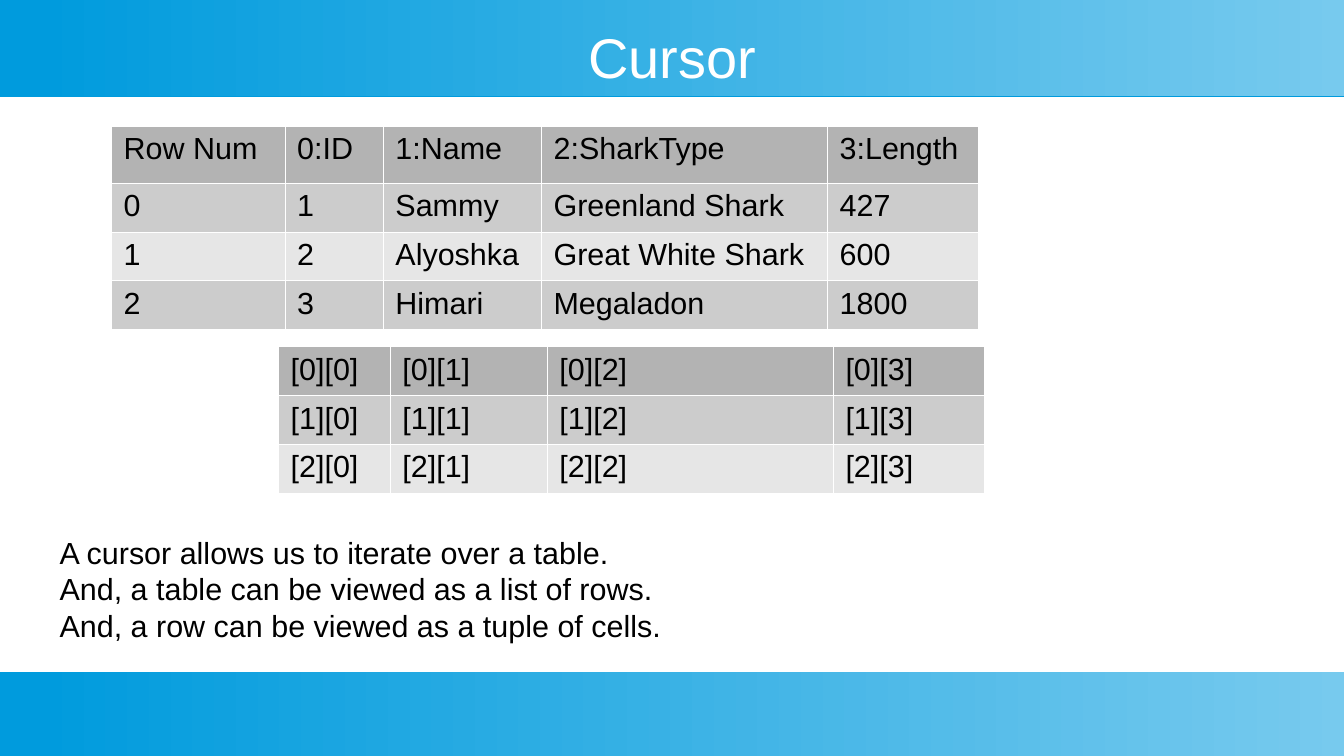
from lxml.etree import SubElement
from pptx import Presentation
from pptx.dml.color import RGBColor
from pptx.enum.shapes import MSO_SHAPE
from pptx.enum.text import MSO_ANCHOR, PP_ALIGN
from pptx.oxml.ns import qn
from pptx.util import Pt

COLORS = {
    "deep": "009BDD",
    "pale": "77CAEE",
    "white": "FFFFFF",
    "black": "000000",
    "header": "B3B3B3",
    "odd": "CCCCCC",
    "even": "E6E6E6",
}
FONT = "Arial"
WIDTH, HEIGHT = 793.44, 446.4
ROW_HEIGHT = 28.75

SHARKS = [
    ["Row Num", "0:ID", "1:Name", "2:SharkType", "3:Length"],
    ["0", "1", "Sammy", "Greenland Shark", "427"],
    ["1", "2", "Alyoshka", "Great White Shark", "600"],
    ["2", "3", "Himari", "Megaladon", "1800"],
]
INDEXES = [[f"[{row}][{column}]" for column in range(4)] for row in range(3)]
EXPLANATION = [
    "A cursor allows us to iterate over a table.",
    "And, a table can be viewed as a list of rows.",
    "And, a row can be viewed as a tuple of cells.",
]


def rgb(name):
    """Return the named colour."""
    return RGBColor.from_string(COLORS[name])


def style_text(frame, size, color):
    """Give every run of a text frame its font, size and colour."""
    for paragraph in frame.paragraphs:
        for run in paragraph.runs:
            run.font.name = FONT
            run.font.size = Pt(size)
            run.font.color.rgb = rgb(color)


def add_band(slide, left, top, width, height):
    """Draw a gradient band with a thin hard shadow below it."""
    band = slide.shapes.add_shape(
        MSO_SHAPE.RECTANGLE, Pt(left), Pt(top), Pt(width), Pt(height))
    band.line.fill.background()
    band.fill.gradient()
    band.fill.gradient_angle = 0
    for stop, color, position in zip(
            band.fill.gradient_stops, ("deep", "pale"), (0.03, 1)):
        stop.color.rgb = rgb(color)
        stop.position = position
    band.shadow.inherit = False
    effects = band._element.spPr.find(qn("a:effectLst"))
    shadow = SubElement(effects, qn("a:outerShdw"), blurRad="0",
                        dist=str(Pt(0.9)), dir="5400000", rotWithShape="0")
    SubElement(shadow, qn("a:srgbClr"), val=COLORS["deep"])


def add_title(slide, left, top, width, height, title):
    """Write the centred slide title."""
    heading = slide.shapes.add_textbox(
        Pt(left), Pt(top), Pt(width), Pt(height)).text_frame
    heading.word_wrap = True
    heading.vertical_anchor = MSO_ANCHOR.MIDDLE
    heading.margin_left = heading.margin_right = 0
    heading.margin_top = heading.margin_bottom = 0
    heading.text = title
    heading.paragraphs[0].alignment = PP_ALIGN.CENTER
    style_text(heading, 33, "white")


def add_borders(cell):
    """Put hairline white borders on all sides of a cell."""
    properties = cell._tc.get_or_add_tcPr()
    for side in ("a:lnL", "a:lnR", "a:lnT", "a:lnB"):
        border = SubElement(properties, qn(side), w=str(Pt(0.06)))
        fill = SubElement(border, qn("a:solidFill"))
        SubElement(fill, qn("a:srgbClr"), val=COLORS["white"])


def add_grid(slide, left, top, widths, heights, rows):
    """Build a table with a dark header and alternating grey rows."""
    grid = slide.shapes.add_table(
        len(rows), len(widths), Pt(left), Pt(top),
        Pt(sum(widths)), Pt(sum(heights))).table
    grid.first_row = grid.horz_banding = False
    for column, width in zip(grid.columns, widths):
        column.width = Pt(width)
    for index, (texts, height) in enumerate(zip(rows, heights)):
        grid.rows[index].height = Pt(height)
        shade = "header" if index == 0 else "odd" if index % 2 else "even"
        for cell, text in zip(grid.rows[index].cells, texts):
            add_borders(cell)
            cell.fill.solid()
            cell.fill.fore_color.rgb = rgb(shade)
            cell.text_frame.text = text
            style_text(cell.text_frame, 18, "black")


def add_explanation(slide, left, top, width, height, sentences):
    """Write the explanation, one sentence to a paragraph."""
    explanation = slide.shapes.add_textbox(
        Pt(left), Pt(top), Pt(width), Pt(height)).text_frame
    explanation.word_wrap = True
    explanation.text = "\n".join(sentences)
    for paragraph in explanation.paragraphs:
        paragraph.line_spacing = Pt(21.5)
    style_text(explanation, 18, "black")


def main():
    """Build the slide and save it."""
    deck = Presentation()
    deck.slide_width, deck.slide_height = Pt(WIDTH), Pt(HEIGHT)
    slide = deck.slides.add_slide(deck.slide_layouts[6])
    add_band(slide, 0, 0, WIDTH, 56.7)
    add_band(slide, 0, 396.8, WIDTH, HEIGHT - 396.8)
    add_title(slide, 28.1, 14.4, 737.3, 37.4, "Cursor")
    add_grid(slide, 65.8, 74.2, [102.5, 58, 93.4, 168.9, 89],
             [33.8] + [ROW_HEIGHT] * 3, SHARKS)
    add_grid(slide, 164.4, 204.6, [66, 92.7, 168.9, 89],
             [ROW_HEIGHT] * 3, INDEXES)
    add_explanation(slide, 28.1, 311.8, 411.1, 87.8, EXPLANATION)
    deck.save("out.pptx")


if __name__ == "__main__":
    main()
